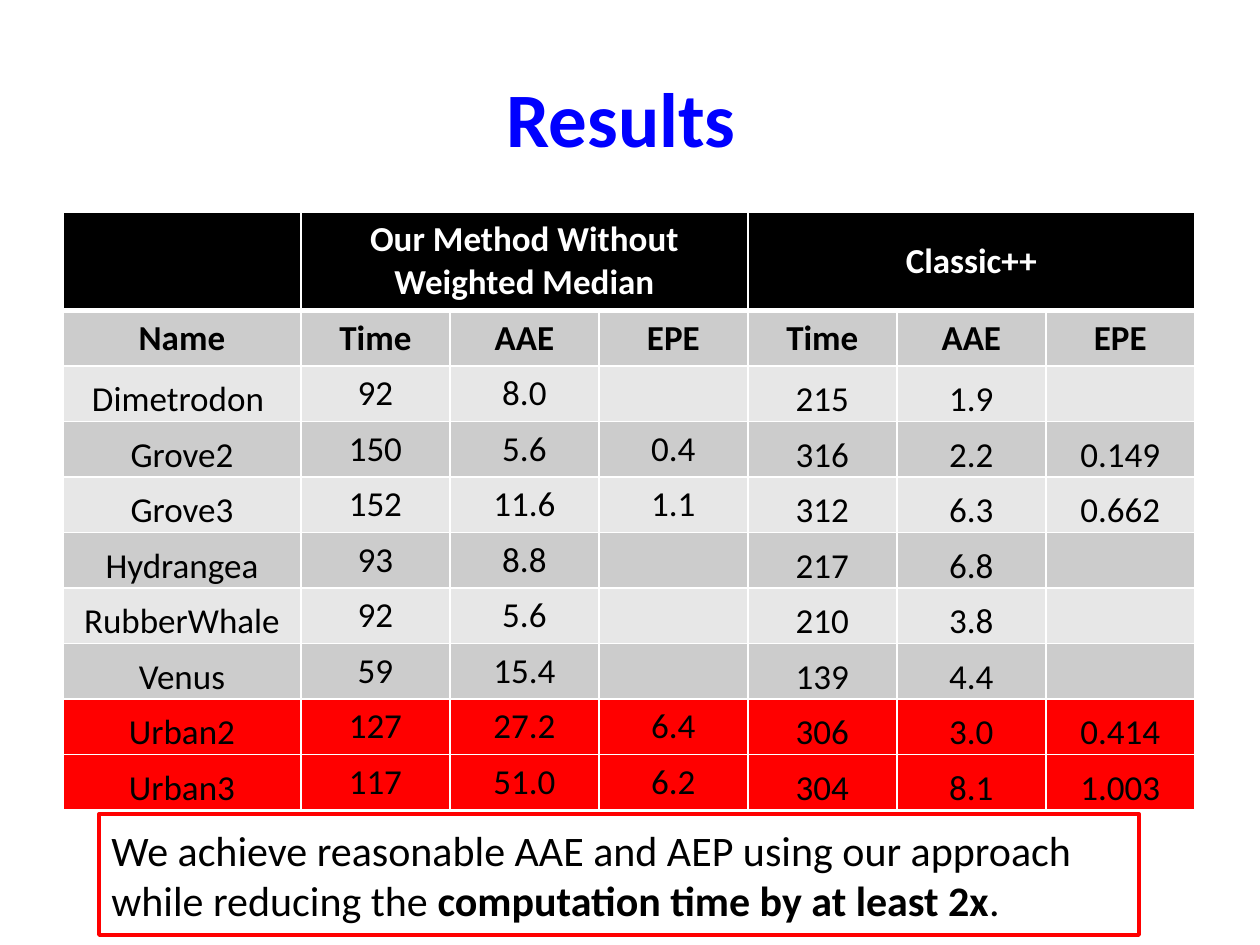
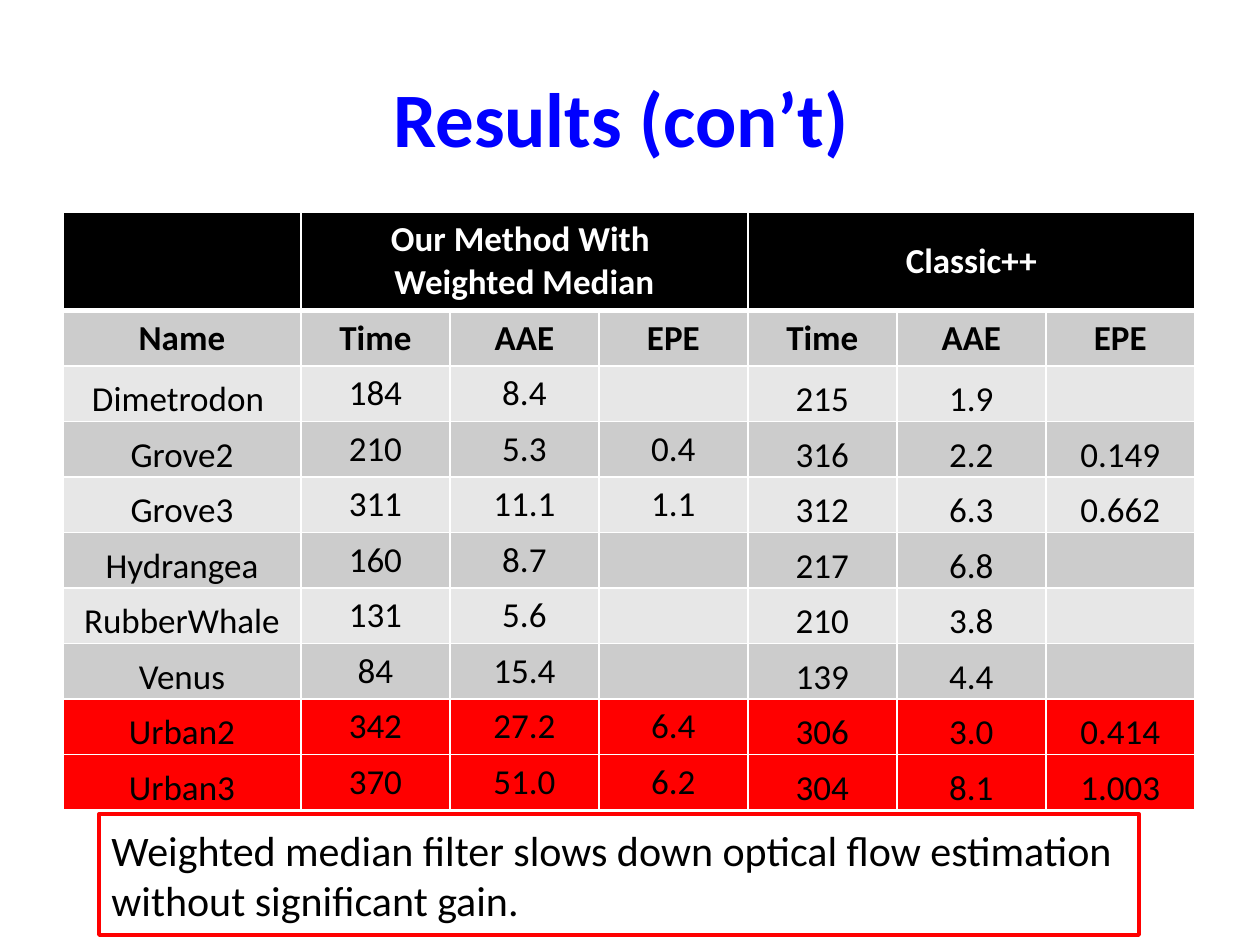
import dataclasses

import lxml.etree
import pptx
import pptx.dml.color
import pptx.enum.shapes
import pptx.enum.text
import pptx.oxml.ns
import pptx.presentation
import pptx.slide
import pptx.table
import pptx.text.text
import pptx.util

PX = 914400 / 126
FONT = "Calibri"
COLORS = {
    "title": "0000FF",
    "header": "000000",
    "band_dark": "CCCCCC",
    "band_light": "E7E7E7",
    "alert": "FF0000",
    "text": "000000",
    "inverse": "FFFFFF",
    "grid": "FFFFFF",
}
ALIGN = pptx.enum.text.PP_ALIGN
ANCHOR = pptx.enum.text.MSO_ANCHOR

TITLE_BOX = (63, 38, 1134, 157)
NOTE_BOX = (99, 814, 1040, 121)
TABLE_LEFT, TABLE_TOP = 63, 212
NAME_WIDTH, VALUE_WIDTH = 238, 149
HEADER_HEIGHT, ROW_HEIGHT = 98, 55
TIGHT_MARGIN = 1

MEASURES = ["Time", "AAE", "EPE"]
SEQUENCES = ["Dimetrodon ", "Grove2", "Grove3", "Hydrangea",
             "RubberWhale", "Venus", "Urban2", "Urban3"]
FAILED_SEQUENCES = {"Urban2", "Urban3"}
CLASSIC = [
    ("215", "1.9", ""),
    ("316", "2.2", "0.149"),
    ("312", "6.3", "0.662"),
    ("217", "6.8", ""),
    ("210", "3.8", ""),
    ("139", "4.4", ""),
    ("306", "3.0", "0.414"),
    ("304", "8.1", "1.003"),
]


@dataclasses.dataclass(frozen=True)
class Span:
    text: str
    bold: bool = False


@dataclasses.dataclass(frozen=True)
class ResultPage:
    title: str
    method: str
    measurements: list[tuple[str, str, str]]
    note: list[Span]


PAGES = [
    ResultPage(
        "Results ",
        "Our Method Without Weighted Median",
        [("92", "8.0", ""), ("150", "5.6", "0.4"), ("152", "11.6", "1.1"),
         ("93", "8.8", ""), ("92", "5.6", ""), ("59", "15.4", ""),
         ("127", "27.2", "6.4"), ("117", "51.0", "6.2")],
        [Span("We achieve reasonable AAE and AEP using our approach "
              "while reducing the "),
         Span("computation time by at least 2x", bold=True),
         Span(".")],
    ),
    ResultPage(
        "Results (con’t) ",
        "Our Method With \nWeighted Median",
        [("184", "8.4", ""), ("210", "5.3", "0.4"), ("311", "11.1", "1.1"),
         ("160", "8.7", ""), ("131", "5.6", ""), ("84", "15.4", ""),
         ("342", "27.2", "6.4"), ("370", "51.0", "6.2")],
        [Span("Weighted median filter slows down optical flow estimation "
              "without significant gain.")],
    ),
]


def px(length: int) -> pptx.util.Emu:
    return pptx.util.Emu(round(length * PX))


def rgb(name: str) -> pptx.dml.color.RGBColor:
    return pptx.dml.color.RGBColor.from_string(COLORS[name])


def style_font(font: pptx.text.text.Font, size: int, color: str, bold: bool) -> None:
    font.name = FONT
    font.size = pptx.util.Pt(size)
    font.bold = bold
    font.color.rgb = rgb(color)


def style_frame(frame: pptx.text.text.TextFrame, size: int, color: str, bold: bool) -> None:
    """Centre every paragraph and format all its runs alike."""
    for para in frame.paragraphs:
        para.alignment = ALIGN.CENTER
        for span in para.runs:
            style_font(span.font, size, color, bold)


def add_title(page: pptx.slide.Slide, text: str) -> None:
    title = page.shapes.title
    title.left, title.top, title.width, title.height = map(px, TITLE_BOX)
    title.text_frame.text = text
    title.text_frame.vertical_anchor = ANCHOR.MIDDLE
    style_frame(title.text_frame, 44, "title", True)


def set_borders(cell: pptx.table._Cell, top: int = 1, bottom: int = 1) -> None:
    """Draw the four cell borders, with widths in points."""
    properties = cell._tc.get_or_add_tcPr()
    widths = {"a:lnL": 1, "a:lnR": 1, "a:lnT": top, "a:lnB": bottom}
    for position, (tag, width) in enumerate(widths.items()):
        line = lxml.etree.Element(pptx.oxml.ns.qn(tag), w=str(pptx.util.Pt(width)))
        fill = lxml.etree.SubElement(line, pptx.oxml.ns.qn("a:solidFill"))
        lxml.etree.SubElement(fill, pptx.oxml.ns.qn("a:srgbClr"), val=COLORS["grid"])
        properties.insert(position, line)


def row_fill(row: int, name: str) -> str:
    if row == 0:
        return "header"
    if name in FAILED_SEQUENCES:
        return "alert"
    return "band_dark" if row % 2 else "band_light"


def format_cell(cell: pptx.table._Cell, row: int, column: int, fill: str) -> None:
    cell.fill.solid()
    cell.fill.fore_color.rgb = rgb(fill)
    set_borders(cell, top=3 if row == 1 else 1, bottom=3 if row == 0 else 1)
    style_frame(cell.text_frame, 20, "text" if row else "inverse", row < 2)
    if row == 0:
        cell.vertical_anchor = ANCHOR.MIDDLE
    elif row > 1 and (column == 0 or column > len(MEASURES)):
        cell.vertical_anchor = ANCHOR.BOTTOM
        cell.margin_left = cell.margin_right = cell.margin_top = px(TIGHT_MARGIN)
        cell.margin_bottom = 0


def add_result_table(page: pptx.slide.Slide, content: ResultPage) -> None:
    rows = [["", content.method, "", "", "Classic++", "", ""],
            ["Name", *MEASURES, *MEASURES]]
    rows += [[name, *ours, *classic] for name, ours, classic
             in zip(SEQUENCES, content.measurements, CLASSIC)]
    widths = [NAME_WIDTH] + [VALUE_WIDTH] * 2 * len(MEASURES)
    heights = [HEADER_HEIGHT] + [ROW_HEIGHT] * (len(rows) - 1)
    table = page.shapes.add_table(
        len(rows), len(widths), px(TABLE_LEFT), px(TABLE_TOP),
        px(sum(widths)), px(sum(heights))).table
    table.horz_banding = False
    for column, width in zip(table.columns, widths):
        column.width = px(width)
    for table_row, height in zip(table.rows, heights):
        table_row.height = px(height)
    for first in (1, 1 + len(MEASURES)):
        table.cell(0, first).merge(table.cell(0, first + len(MEASURES) - 1))
    for row, texts in enumerate(rows):
        fill = row_fill(row, texts[0])
        for column, text in enumerate(texts):
            cell = table.cell(row, column)
            cell.text_frame.text = text
            format_cell(cell, row, column, fill)


def add_note(page: pptx.slide.Slide, spans: list[Span]) -> None:
    box = page.shapes.add_shape(
        pptx.enum.shapes.MSO_SHAPE.RECTANGLE, *map(px, NOTE_BOX))
    box.shadow.inherit = False
    box.fill.background()
    box.line.color.rgb = rgb("alert")
    box.line.width = pptx.util.Pt(2.25)
    frame = box.text_frame
    frame.word_wrap = True
    frame.vertical_anchor = ANCHOR.MIDDLE
    para = frame.paragraphs[0]
    para.alignment = ALIGN.LEFT
    for part in spans:
        span = para.add_run()
        span.text = part.text
        style_font(span.font, 24, "text", part.bold)


def add_result_page(deck: pptx.presentation.Presentation, content: ResultPage) -> None:
    title_only = deck.slide_layouts.get_by_name("Title Only")
    page = deck.slides.add_slide(title_only)
    add_title(page, content.title)
    add_result_table(page, content)
    add_note(page, content.note)


def main() -> None:
    deck = pptx.Presentation()
    deck.slide_width, deck.slide_height = px(1260), px(945)
    for content in PAGES:
        add_result_page(deck, content)
    deck.save("out.pptx")


if __name__ == "__main__":
    main()
